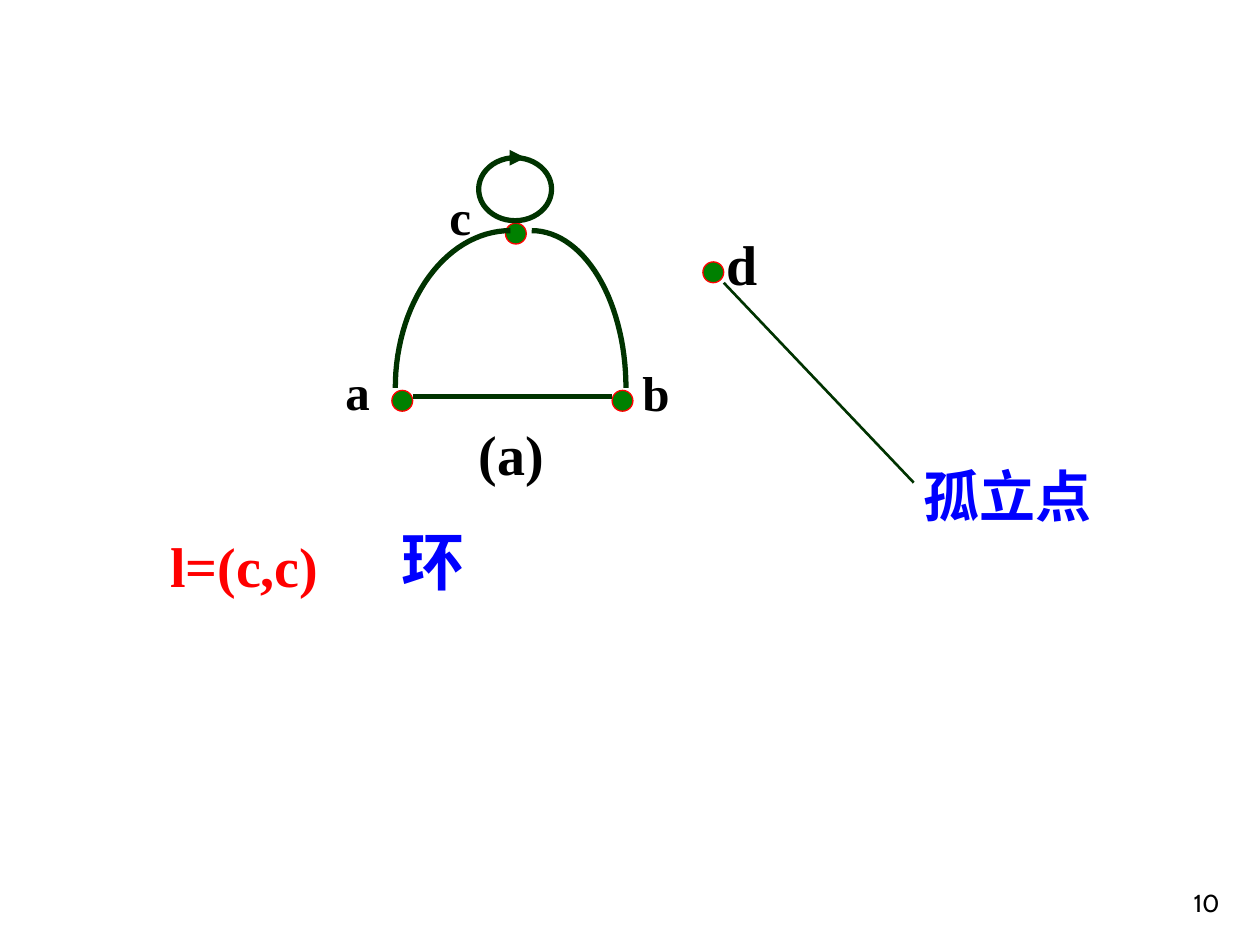
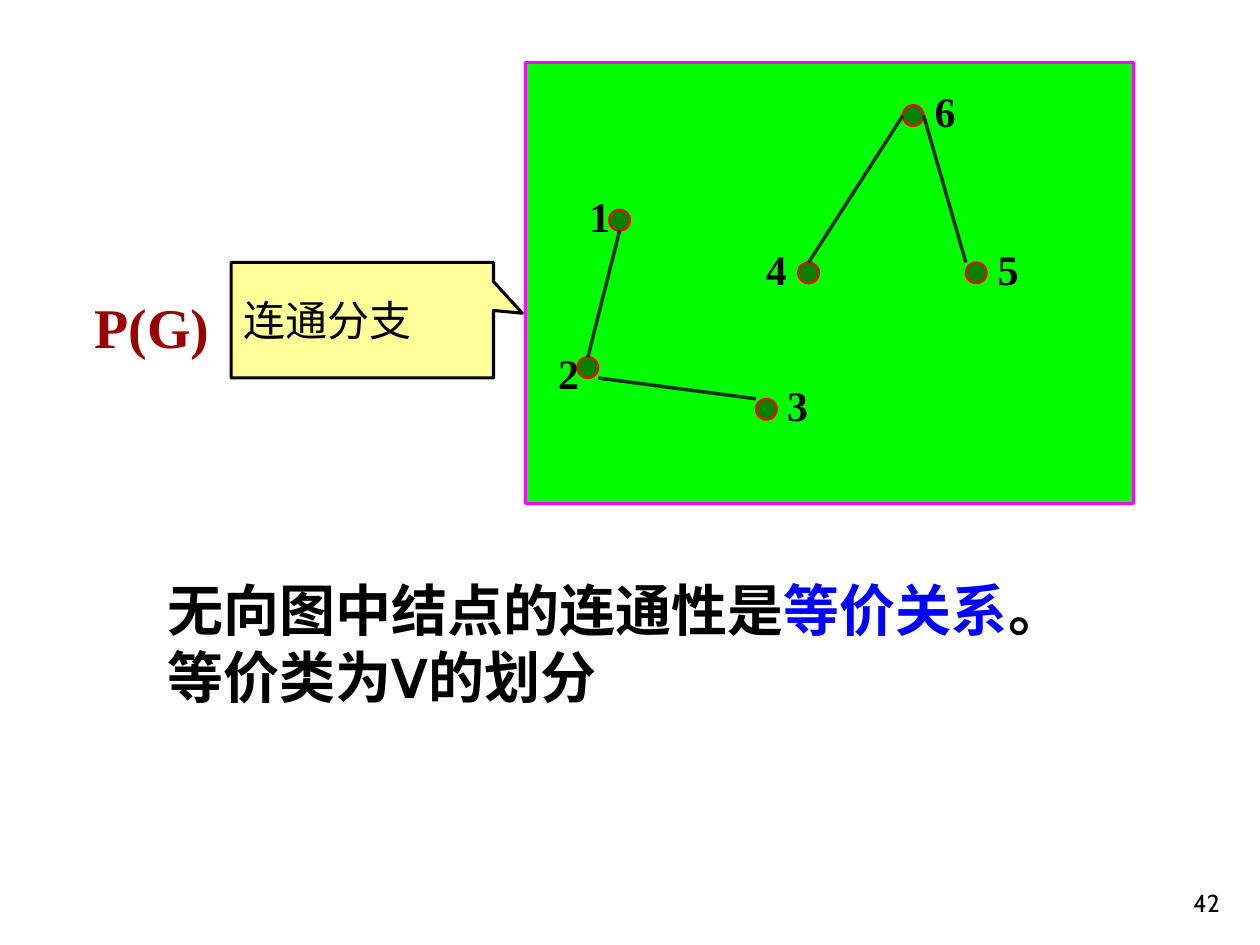
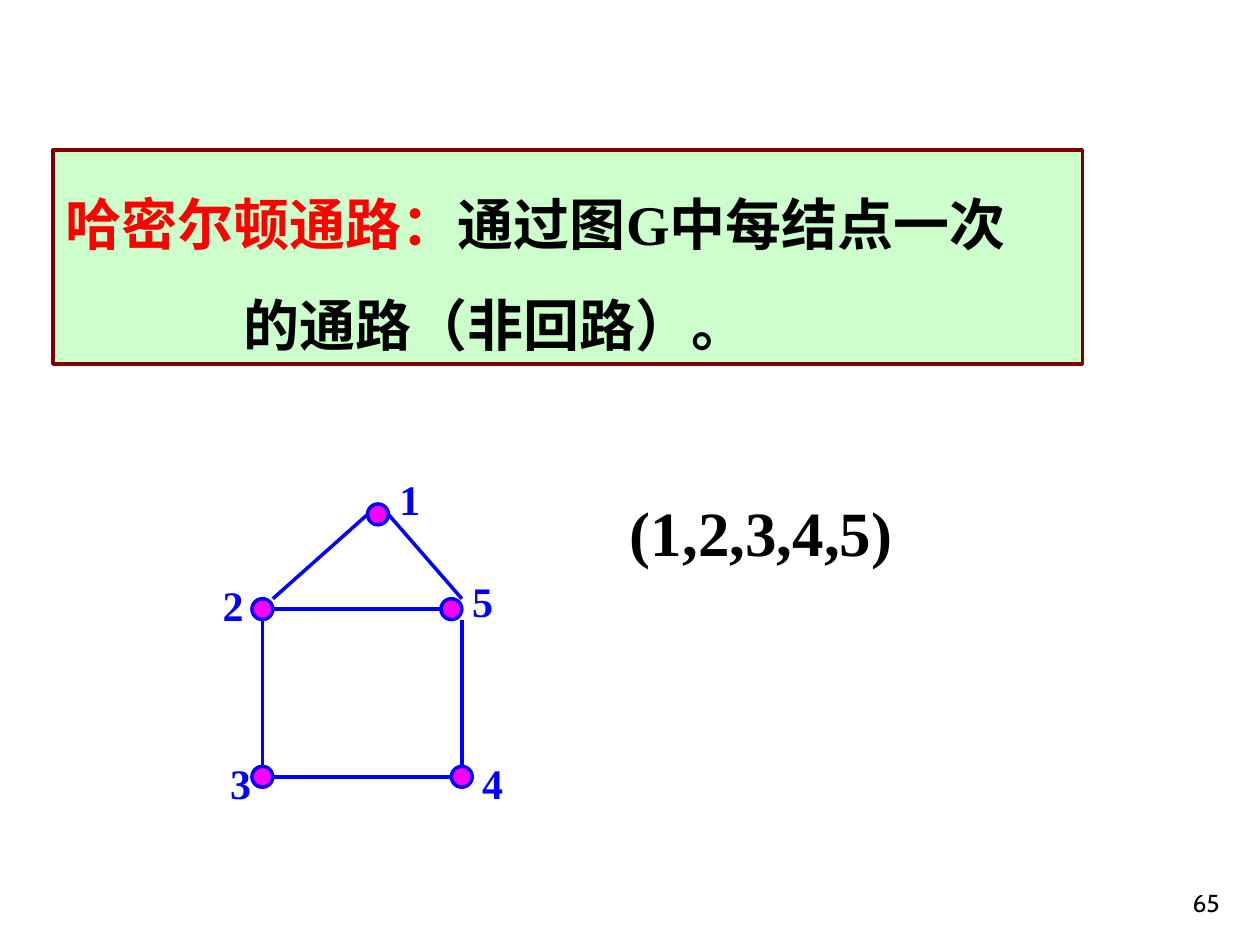
from dataclasses import dataclass
from math import cos, pi, sin

from lxml.etree import SubElement
from pptx import Presentation
from pptx.dml.color import RGBColor as RGB
from pptx.enum.shapes import MSO_CONNECTOR as CONN, MSO_SHAPE as SHAPE
from pptx.enum.text import MSO_ANCHOR as ANCHOR, MSO_AUTO_SIZE as AUTO, PP_ALIGN as ALIGN
from pptx.oxml.ns import qn
from pptx.util import Cm, Pt


@dataclass(frozen=True)
class Theme:
    serif: str = "Times New Roman"
    sans: str = "Cabin"
    cjk: str = "Noto Sans CJK SC"
    black: str = "000000"
    red: str = "FF0000"
    blue: str = "0000FF"
    green: str = "008000"
    edge: str = "003300"
    lime: str = "00FF00"
    magenta: str = "FF00FF"
    yellow: str = "FFFF99"
    mint: str = "CCFFCC"
    maroon: str = "800000"
    crimson: str = "990000"
    page: int = 14
    small: int = 24
    label: int = 28
    body: int = 32
    large: int = 36
    node: float = 0.42


T = Theme()
COMPASS = {"n": (0.5, 0), "ne": (1, 0), "e": (1, 0.5), "se": (1, 1),
           "s": (0.5, 1), "w": (0, 0.5), "nw": (0, 0)}


def write(shape, paras, size=T.body, font=T.serif, color=T.black, bold=True,
          align=ALIGN.LEFT, anchor=ANCHOR.TOP, wrap=True, grow=True,
          spacing=None, indents=()):
    tf = shape.text_frame
    tf.word_wrap = wrap
    tf.auto_size = AUTO.SHAPE_TO_FIT_TEXT if grow else AUTO.NONE
    tf.vertical_anchor = anchor
    if isinstance(paras, str):
        paras = [[(paras, {})]]
    for i, runs in enumerate(paras):
        p = tf.paragraphs[0] if i == 0 else tf.add_paragraph()
        p.alignment = align
        if spacing:
            p.line_spacing = spacing
        if i < len(indents):
            p._p.get_or_add_pPr().set("marL", str(Cm(indents[i])))
        for text, fmt in runs:
            r = p.add_run()
            r.text = text
            r.font.size = Pt(size)
            r.font.bold = bold
            r.font.name = fmt.get("font", font)
            r.font.color.rgb = RGB.from_string(fmt.get("color", color))
            SubElement(r._r.rPr, qn("a:ea")).set("typeface", T.cjk)


def add_text(shapes, box, paras, **fmt):
    write(shapes.add_textbox(*map(Cm, box)), paras, **fmt)


def set_line(shape, color, width):
    shape.line.color.rgb = RGB.from_string(color)
    shape.line.width = Pt(width)


def add_shape(shapes, kind, box, fill, line, width):
    sp = shapes.add_shape(kind, *map(Cm, box))
    sp.shadow.inherit = False
    if fill:
        sp.fill.solid()
        sp.fill.fore_color.rgb = RGB.from_string(fill)
    else:
        sp.fill.background()
    set_line(sp, line, width)
    return sp


def add_line(shapes, start, end, color, width, arrow=False):
    c = shapes.add_connector(CONN.STRAIGHT, *map(Cm, (*start, *end)))
    set_line(c, color, width)
    if arrow:
        SubElement(c.line._get_or_add_ln(), qn("a:tailEnd")).set("type", "triangle")
    SubElement(c._element.spPr, qn("a:effectLst"))


def add_quarter_arc(shapes, center, rx, ry, color, width, steps=30):
    cx, cy = center
    angles = [i * pi / 2 / steps for i in range(steps + 1)]
    points = [(Cm(cx + rx * sin(a)), Cm(cy - ry * cos(a))) for a in angles]
    builder = shapes.build_freeform(*points[0])
    builder.add_line_segments(points[1:], close=False)
    sp = builder.convert_to_shape()
    sp.shadow.inherit = False
    sp.fill.background()
    set_line(sp, color, width)


def add_label(shapes, pos, text, size, color):
    box = (*pos, 0.51 + 0.0176 * size, 0.2 + 0.0445 * size)
    add_text(shapes, box, text, size=size, color=color, wrap=False)


def site(node, side):
    fx, fy = COMPASS[side]
    return node[0] + fx * T.node, node[1] + fy * T.node


def add_graph(shapes, nodes, edges=(), fill=T.green, line=T.red, line_width=1.25,
              edge=T.edge, size=T.small, color=T.black):
    for x, y, *_ in nodes.values():
        add_shape(shapes, SHAPE.OVAL, (x, y, T.node, T.node), fill, line, line_width)
    for a, side_a, b, side_b in edges:
        add_line(shapes, site(nodes[a], side_a), site(nodes[b], side_b), edge, 2)
    for name, node in nodes.items():
        add_label(shapes, node[2:], name, size, color)


def add_page_number(shapes, number):
    add_text(shapes, (19.56, 17.35, 5.28, 1.27), str(number), size=T.page, font=T.sans,
             bold=False, align=ALIGN.RIGHT, anchor=ANCHOR.BOTTOM, grow=False)


def loop_slide(shapes):
    corners = {"a": (7.9, 7.87, 6.71, 7.16), "b": (12.34, 7.87, 12.7, 7.19),
               "c": (10.19, 4.5, 8.81, 3.63)}
    isolated = {"d": (14.17, 5.28, 14.4, 4.5)}
    add_graph(shapes, corners, line_width=0.75, size=T.label)
    add_line(shapes, (8.33, 8), (12.34, 8), T.edge, 3)
    add_quarter_arc(shapes, (10.72, 7.82), 1.9, 3.17, T.edge, 3)
    add_quarter_arc(shapes, (10.29, 7.82), -2.32, 3.17, T.edge, 3)
    add_shape(shapes, SHAPE.OVAL, (9.65, 3.18, 1.47, 1.27), None, T.edge, 3)
    add_line(shapes, (10.36, 3.18), (10.59, 3.18), T.edge, 3, arrow=True)
    add_graph(shapes, isolated, line_width=0.75, size=T.body)
    add_line(shapes, site(isolated["d"], "se"), (18.42, 9.73), T.edge, 1.5)
    add_text(shapes, (9.4, 8.33, 1.83, 1.63), "(a)", wrap=False)
    add_text(shapes, (3.18, 10.59, 3.51, 1.63), "l=(c,c)", color=T.red, wrap=False)
    add_text(shapes, (7.85, 10.41, 1.78, 1.78), "环", size=T.large, font=T.sans,
             color=T.blue, wrap=False)
    add_text(shapes, (18.36, 9.17, 5.77, 1.63), "孤立点", font=T.sans, color=T.blue)


def components_slide(shapes):
    nodes = {"1": (12.28, 4.23, 11.63, 3.71), "2": (11.64, 7.2, 11, 6.88),
             "3": (15.24, 8.04, 15.62, 7.52), "4": (16.09, 5.29, 15.19, 4.78),
             "5": (19.47, 5.29, 19.86, 4.78), "6": (18.2, 2.12, 18.59, 1.6)}
    edges = [("2", "n", "1", "s"), ("2", "se", "3", "nw"),
             ("4", "n", "6", "w"), ("6", "e", "5", "nw")]
    add_shape(shapes, SHAPE.RECTANGLE, (10.59, 1.27, 12.27, 8.89), T.lime, T.magenta, 1.75)
    add_graph(shapes, nodes, edges)
    add_text(shapes, (3.12, 11.48, 20.37, 2.97),
             [[("无向图中结点的连通性是", {}), ("等价关系", {"color": T.blue}), ("。", {})],
              [("等价类为V的划分", {})]], font=T.sans)
    callout = add_shape(shapes, SHAPE.RECTANGULAR_CALLOUT, (4.66, 5.29, 5.29, 2.33),
                        T.yellow, T.black, 1.75)
    callout.adjustments[0] = 0.61
    callout.adjustments[1] = -0.06
    write(callout, "连通分支", size=T.small, font=T.sans, bold=False,
          anchor=ANCHOR.MIDDLE, grow=False)
    add_text(shapes, (1.65, 5.77, 3, 1.63), "P(G)", color=T.crimson, wrap=False,
             grow=False)


def hamilton_slide(shapes):
    definition = add_shape(shapes, SHAPE.RECTANGLE, (1.07, 3.02, 20.75, 4.32),
                           T.mint, T.maroon, 2)
    write(definition,
          [[("哈密尔顿通路：", {"color": T.red}), ("通过图", {}), ("G", {"font": T.serif}),
            ("中每结点一次", {})],
           [("的通路（非回路）。", {})]],
          font=T.cjk, spacing=1.5, indents=(0, 3.58))
    nodes = {"1": (7.41, 10.16, 7.8, 9.42), "2": (5.08, 12.07, 4.24, 11.56),
             "3": (5.08, 15.45, 4.39, 15.14), "4": (9.1, 15.45, 9.47, 15.14),
             "5": (8.89, 12.07, 9.27, 11.48)}
    edges = [("2", "ne", "1", "w"), ("2", "s", "3", "n"), ("3", "e", "4", "w"),
             ("5", "se", "4", "n"), ("2", "e", "5", "w"), ("1", "e", "5", "ne")]
    add_graph(shapes.add_group_shape().shapes, nodes, edges, fill=T.magenta, line=T.blue,
              line_width=2, edge=T.blue, color=T.blue)
    add_text(shapes, (12.45, 9.83, 8.71, 1.78), "(1,2,3,4,5)", size=T.large)


def main():
    prs = Presentation()
    prs.slide_width, prs.slide_height = Cm(25.4), Cm(19.05)
    for build, number in ((loop_slide, 10), (components_slide, 42), (hamilton_slide, 65)):
        s = prs.slides.add_slide(prs.slide_layouts[6])
        build(s.shapes)
        add_page_number(s.shapes, number)
    prs.save("out.pptx")


if __name__ == "__main__":
    main()
